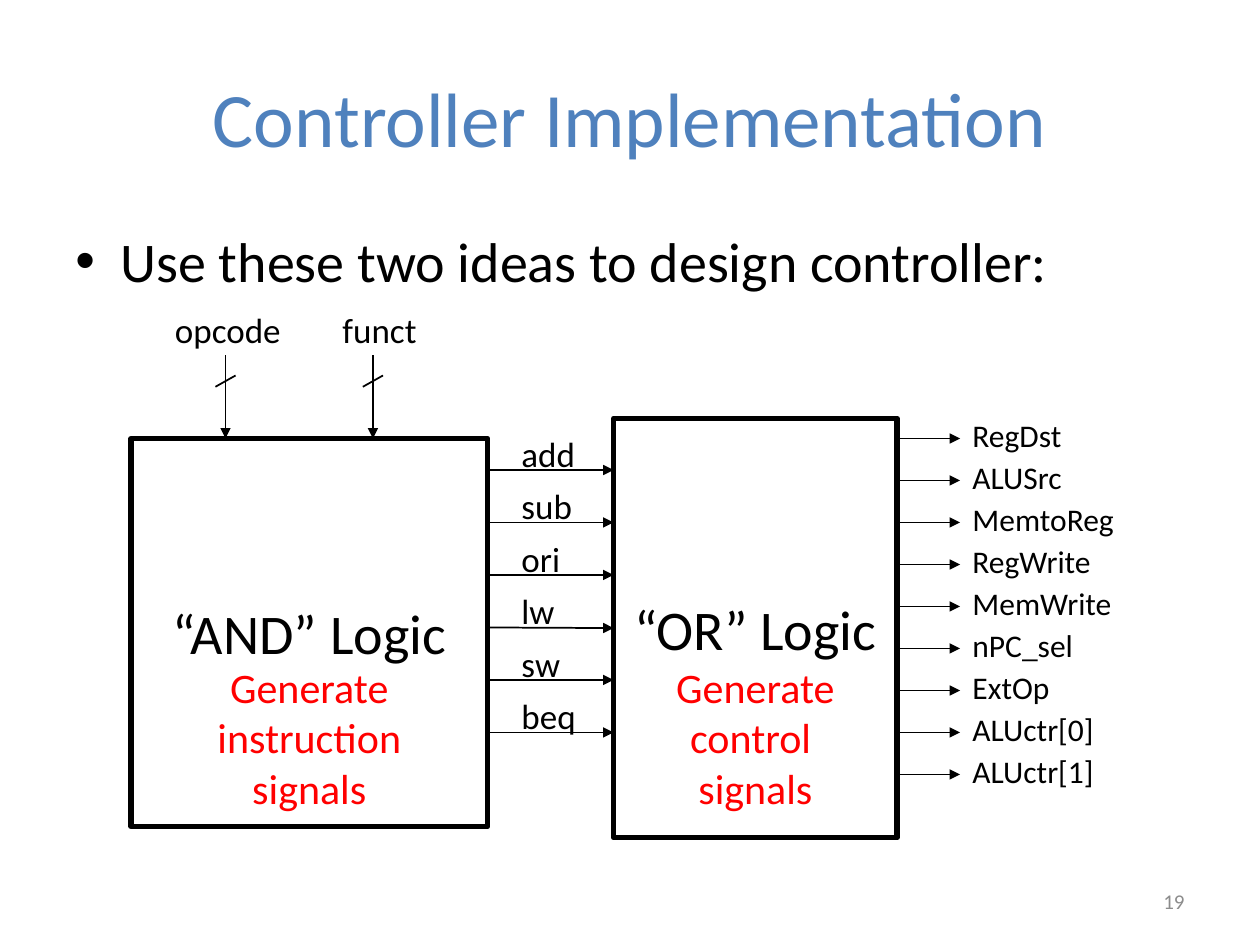
from lxml import etree
from pptx import Presentation
from pptx.dml.color import RGBColor
from pptx.enum import shapes, text
from pptx.oxml import ns
from pptx.util import Inches, Pt

BLACK = RGBColor(0, 0, 0)
BLUE = RGBColor(0x4F, 0x81, 0xBD)
RED = RGBColor(0xFF, 0, 0)
GRAY = RGBColor(0x8C, 0x8C, 0x8C)
FONT = "Calibri"
LEFT, CENTER, RIGHT = text.PP_ALIGN.LEFT, text.PP_ALIGN.CENTER, text.PP_ALIGN.RIGHT
TOP, MIDDLE = text.MSO_ANCHOR.TOP, text.MSO_ANCHOR.MIDDLE

TITLE = "Controller Implementation"
BULLET = "Use these two ideas to design controller:"
PAGE = "19"
AND_BOX = (1.04, 3.48, 2.83, 3.08)
OR_BOX = (4.87, 3.32, 2.25, 3.33)
LOGIC = [  # box, name, purpose
    (AND_BOX, "“AND” Logic", "Generate instruction\vsignals"),
    (OR_BOX, "“OR” Logic", "Generate control \vsignals"),
]
INPUTS = [("opcode", 1.29, 1.79), ("funct", 2.62, 2.96)]  # name, label left, arrow x
INSTRUCTIONS = ["add", "sub", "ori", "lw", "sw", "beq"]
MIDDLE_INSTRUCTION = "lw"
CONTROLS = ["RegDst", "ALUSrc", "MemtoReg", "RegWrite", "MemWrite",
            "nPC_sel", "ExtOp", "ALUctr[0]", "ALUctr[1]"]
INSTRUCTION_TOP, INSTRUCTION_STEP = 3.73, 2.5 / 6
CONTROL_TOP, CONTROL_STEP = 3.48, 1 / 3

prs = Presentation()
prs.slide_width, prs.slide_height = Inches(10), Inches(7.5)
s = prs.slides.add_slide(prs.slide_layouts[6])


def write(tf, words, size, color=BLACK, align=LEFT, anchor=TOP, wrap=True):
    tf.word_wrap = wrap
    tf.vertical_anchor = anchor
    p = tf.paragraphs[0]
    p.text = words
    p.alignment = align
    for r in p.runs:
        for key, value in {"name": FONT, "size": Pt(size)}.items():
            setattr(r.font, key, value)
        r.font.color.rgb = color
    return p


def label(words, box, size, **style):
    sp = s.shapes.add_textbox(*map(Inches, box))
    return write(sp.text_frame, words, size, **style)


def logic_box(box, name):
    sp = s.shapes.add_shape(shapes.MSO_SHAPE.RECTANGLE, *map(Inches, box))
    sp.shadow.inherit = False
    sp.fill.background()
    sp.line.color.rgb = BLACK
    sp.line.width = Pt(3)
    write(sp.text_frame, name, 32, align=CENTER, anchor=MIDDLE, wrap=False)
    return sp


def line(x1, y1, x2, y2, arrow=True):
    c = s.shapes.add_connector(shapes.MSO_CONNECTOR.STRAIGHT,
                               *map(Inches, (x1, y1, x2, y2)))
    c.line.color.rgb = BLACK
    c.line.width = Pt(1)
    if arrow:
        etree.SubElement(c.line._get_or_add_ln(), ns.qn("a:tailEnd"), type="triangle")
    etree.SubElement(c._element.spPr, ns.qn("a:effectLst"))
    return c


label(TITLE, (0.5, 0.3, 9, 1.25), 44, color=BLUE, align=CENTER, anchor=MIDDLE)

p = label(BULLET, (0.5, 1.75, 9, 0.64), 32)
pPr = p._p.get_or_add_pPr()
pPr.set("marL", str(Inches(0.36)))
pPr.set("indent", str(-Inches(0.36)))
etree.SubElement(pPr, ns.qn("a:buFont"), typeface="Arial")
etree.SubElement(pPr, ns.qn("a:buChar"), char="•")

and_logic, or_logic = [logic_box(box, name) for box, name, _ in LOGIC]
for (left, _, width, _), _, purpose in LOGIC:
    label(purpose, (left, 5.2, width, 1.31), 24, color=RED, align=CENTER)

for name, left, x in INPUTS:
    label(name, (left, 2.4, 1.1, 0.44), 20)
    line(x, 2.82, x, AND_BOX[1])
    line(x - 0.08, 3.07, x + 0.08, 2.98, arrow=False)

and_right = AND_BOX[0] + AND_BOX[2]
for i, name in enumerate(INSTRUCTIONS):
    y = INSTRUCTION_TOP + i * INSTRUCTION_STEP
    c = line(and_right, y, OR_BOX[0], y)
    if name == MIDDLE_INSTRUCTION:
        c.end_connect(or_logic, 1)
    label(name, (4.04, y - 0.35, 0.75, 0.44), 20)

or_right = OR_BOX[0] + OR_BOX[2]
for i, name in enumerate(CONTROLS):
    y = CONTROL_TOP + i * CONTROL_STEP
    line(or_right, y, or_right + 0.5, y)
    label(name, (or_right + 0.5, y - 0.23, 1.5, 0.4), 18)

label(PAGE, (7.17, 6.95, 2.33, 0.4), 12, color=GRAY, align=RIGHT, anchor=MIDDLE)

prs.save("out.pptx")
